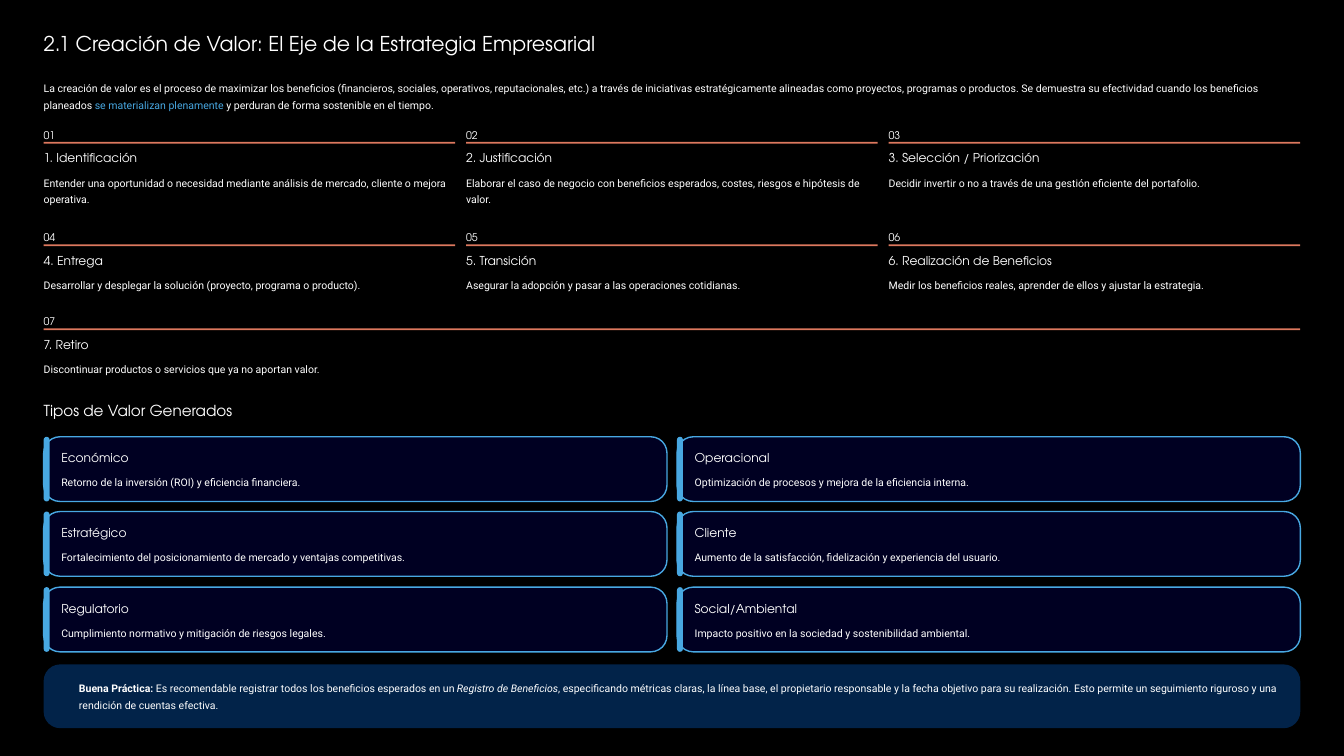
from dataclasses import dataclass

from lxml import etree
from pptx import Presentation
from pptx import util as u
from pptx.dml.color import RGBColor
from pptx.enum import shapes, text
from pptx.oxml import ns

PX = 9144  # EMU per px, 100 px to the inch
COLORS = {
    "background": "000000",
    "text": "FFFFFF",
    "accent": "48A8E2",
    "rule": "DD785E",
    "card": "00002E",
    "practice": "022349",
}
DISPLAY, BODY = "TeX Gyre Adventor", "Roboto"
LEFT, FULL_WIDTH = 52, 1496
STEP_WIDTH, STEP_PITCH = 490, 503
CARD_WIDTH, CARD_HEIGHT, CARD_PITCH = 742, 77, 754


@dataclass
class Span:
    text: str
    color: str = "text"
    bold: bool = False
    italic: bool = False


@dataclass
class Step:
    heading: str
    body: str
    column: int
    top: int
    width: int = STEP_WIDTH
    heading_width: int = 153
    body_height: int = 21


@dataclass
class Card:
    heading: str
    body: str


STEPS = [
    Step("1. Identificación", "Entender una oportunidad o necesidad mediante análisis de mercado, "
         "cliente o mejora operativa.", 0, 148, body_height=42),
    Step("2. Justificación", "Elaborar el caso de negocio con beneficios esperados, costes, "
         "riesgos e hipótesis de valor.", 1, 148, body_height=42),
    Step("3. Selección / Priorización", "Decidir invertir o no a través de una gestión eficiente "
         "del portafolio.", 2, 148, heading_width=176),
    Step("4. Entrega", "Desarrollar y desplegar la solución (proyecto, programa o producto).",
         0, 270),
    Step("5. Transición", "Asegurar la adopción y pasar a las operaciones cotidianas.", 1, 270),
    Step("6. Realización de Beneficios", "Medir los beneficios reales, aprender de ellos y ajustar "
         "la estrategia.", 2, 270, heading_width=192),
    Step("7. Retiro", "Discontinuar productos o servicios que ya no aportan valor.", 0, 370,
         width=FULL_WIDTH),
]
CARDS = [
    Card("Económico", "Retorno de la inversión (ROI) y eficiencia financiera."),
    Card("Operacional", "Optimización de procesos y mejora de la eficiencia interna."),
    Card("Estratégico", "Fortalecimiento del posicionamiento de mercado y ventajas competitivas."),
    Card("Cliente", "Aumento de la satisfacción, fidelización y experiencia del usuario."),
    Card("Regulatorio", "Cumplimiento normativo y mitigación de riesgos legales."),
    Card("Social/Ambiental", "Impacto positivo en la sociedad y sostenibilidad ambiental."),
]
INTRO = [
    Span("La creación de valor es el proceso de maximizar los beneficios (financieros, sociales, "
         "operativos, reputacionales, etc.) a través de iniciativas estratégicamente alineadas "
         "como proyectos, programas o productos. Se demuestra su efectividad cuando los "
         "beneficios planeados "),
    Span("se materializan plenamente", color="accent"),
    Span(" y perduran de forma sostenible en el tiempo."),
]
PRACTICE = [
    Span("Buena Práctica:", bold=True),
    Span(" Es recomendable registrar todos los beneficios esperados en un "),
    Span("Registro de Beneficios", italic=True),
    Span(", especificando métricas claras, la línea base, el propietario responsable y la fecha "
         "objetivo para su realización. Esto permite un seguimiento riguroso y una rendición de "
         "cuentas efectiva."),
]


def rgb(name: str) -> RGBColor:
    return RGBColor.from_string(COLORS[name])


def write(shape, spans: list[Span], *, size: float = 9, font: str = BODY,
          leading: float = 14.5, wrap: bool = False) -> None:
    frame = shape.text_frame
    frame.margin_left = frame.margin_top = frame.margin_right = frame.margin_bottom = 0
    frame.auto_size = text.MSO_AUTO_SIZE.NONE
    frame.vertical_anchor = text.MSO_ANCHOR.TOP
    frame.word_wrap = wrap
    paragraph = frame.paragraphs[0]
    paragraph.alignment = text.PP_ALIGN.LEFT
    paragraph.line_spacing = u.Pt(leading)
    for span in spans:
        run = paragraph.add_run()
        run.text = span.text
        run.font.name, run.font.size = font, u.Pt(size)
        run.font.bold, run.font.italic = span.bold, span.italic
        run.font.color.rgb = rgb(span.color)


def add_text(slide, spans: list[Span], left: int, top: int, width: int, height: int,
             **text_format) -> None:
    box = slide.shapes.add_textbox(left * PX, top * PX, width * PX, height * PX)
    write(box, spans, **text_format)


def add_heading(slide, heading: str, left: int, top: int, width: int = 153) -> None:
    add_text(slide, [Span(heading)], left, top, width, 19, size=10.5, font=DISPLAY, leading=13.5)


def add_box(slide, left: int, top: int, width: int, height: int, fill: str,
            radius: float | None = None, outline: str | None = None,
            opacity: int = 100) -> None:
    """Draw a filled box; radius is the corner share of the shorter side."""
    kind = shapes.MSO_SHAPE.RECTANGLE if radius is None else shapes.MSO_SHAPE.ROUNDED_RECTANGLE
    shape = slide.shapes.add_shape(kind, left * PX, top * PX, width * PX, height * PX)
    shape.shadow.inherit = False
    if radius is not None:
        shape.adjustments[0] = radius
    shape.fill.solid()
    shape.fill.fore_color.rgb = rgb(fill)
    if opacity < 100:
        color = shape.element.spPr.find(ns.qn("a:solidFill"))[0]
        etree.SubElement(color, ns.qn("a:alpha"), val=str(opacity * 1000))
    if outline:
        shape.line.color.rgb = rgb(outline)
        shape.line.width = u.Pt(1.2)
    else:
        shape.line.fill.background()


def add_step(slide, number: int, step: Step) -> None:
    left = LEFT + step.column * STEP_PITCH
    add_text(slide, [Span(f"{number:02}")], left, step.top, 13, 16, font=DISPLAY)
    add_box(slide, left, step.top + 21, step.width, 2, "rule")
    add_heading(slide, step.heading, left, step.top + 30, step.heading_width)
    add_text(slide, [Span(step.body)], left, step.top + 57, step.width, step.body_height,
             wrap=True)


def add_card(slide, index: int, card: Card) -> None:
    row, column = divmod(index, 2)
    left, top = LEFT + column * CARD_PITCH, 520 + row * 179 // 2
    add_box(slide, left, top, CARD_WIDTH, CARD_HEIGHT, "card", radius=0.25, outline="accent",
            opacity=75)
    add_box(slide, left, top, 7, CARD_HEIGHT, "accent", radius=0.5)
    add_heading(slide, card.heading, left + 21, top + 15)
    add_text(slide, [Span(card.body)], left + 21, top + 42, 706, 21, wrap=True)


def main() -> None:
    presentation = Presentation()
    presentation.slide_width, presentation.slide_height = 1600 * PX, 900 * PX
    slide = presentation.slides.add_slide(presentation.slide_layouts.get_by_name("Title Only"))
    slide.background.fill.solid()
    slide.background.fill.fore_color.rgb = rgb("background")

    title = slide.shapes.title
    title.left, title.top, title.width, title.height = LEFT * PX, 36 * PX, 690 * PX, 31 * PX
    write(title, [Span("2.1 Creación de Valor: El Eje de la Estrategia Empresarial")],
          size=17.5, font=DISPLAY, leading=21.5)
    add_text(slide, INTRO, LEFT, 92, FULL_WIDTH, 42, wrap=True)

    for number, step in enumerate(STEPS, start=1):
        add_step(slide, number, step)

    add_text(slide, [Span("Tipos de Valor Generados")], LEFT, 477, 216, 23, size=13,
             font=DISPLAY, leading=16)
    for index, card in enumerate(CARDS):
        add_card(slide, index, card)

    add_box(slide, LEFT, 791, FULL_WIDTH, 76, "practice", radius=0.26)
    add_text(slide, PRACTICE, 94, 807, 1441, 42, wrap=True)
    presentation.save("out.pptx")


if __name__ == "__main__":
    main()
